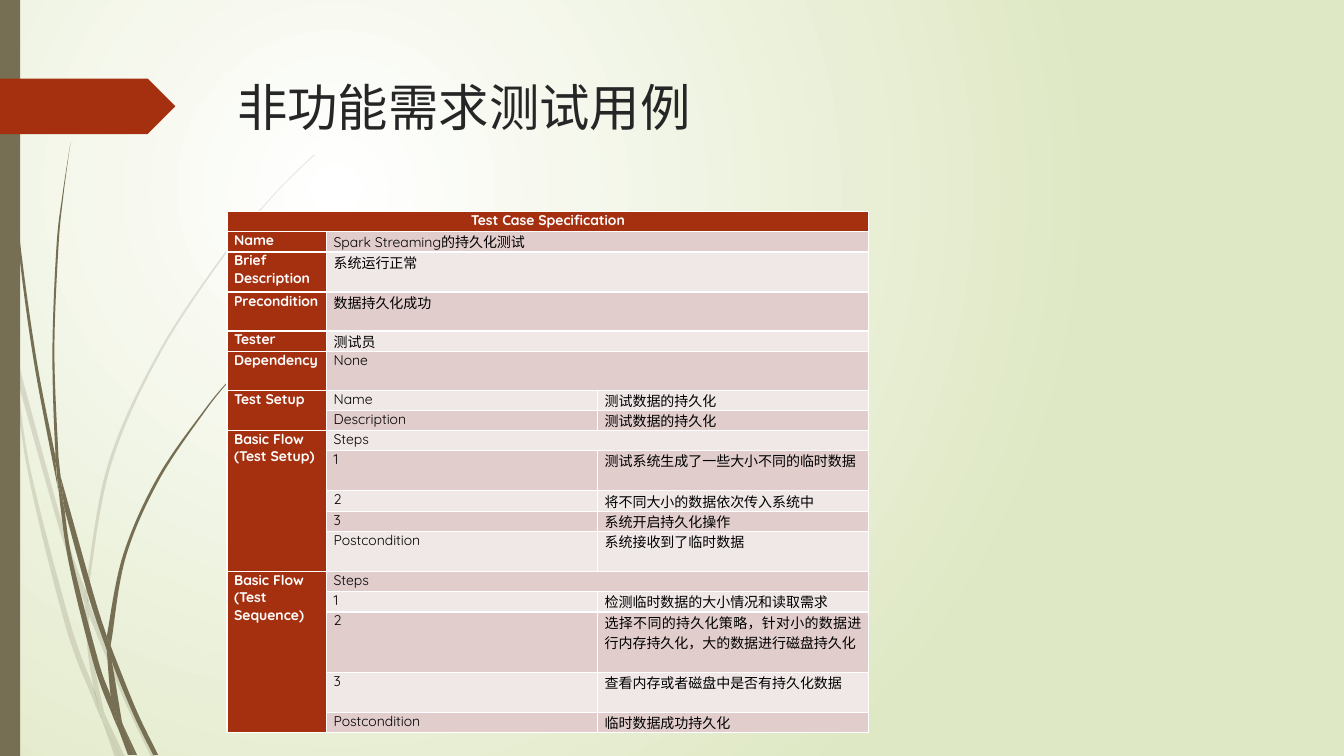
"""Builds the slide with the non-functional requirement test case table."""
from typing import NamedTuple

from lxml import etree
from pptx import Presentation
from pptx.dml.color import RGBColor
from pptx.enum.shapes import MSO_SHAPE
from pptx.enum.text import MSO_ANCHOR, MSO_AUTO_SIZE, PP_ALIGN
from pptx.oxml import parse_xml
from pptx.oxml.ns import nsdecls, qn
from pptx.util import Cm, Pt

RECT, PENTAGON = MSO_SHAPE.RECTANGLE, MSO_SHAPE.PENTAGON
TOP, NO_FIT = MSO_ANCHOR.TOP, MSO_AUTO_SIZE.NONE
LEFT, CENTER, JUSTIFY = PP_ALIGN.LEFT, PP_ALIGN.CENTER, PP_ALIGN.JUSTIFY
FONT = "Quicksand"
COLORS = {"grass": "766F54", "accent": "A53010", "title": "262626", "white": "FFFFFF",
          "black": "000000", "band_dark": "E1CDCC", "band_light": "F0E8E7", "edge": "DFE8C4"}
GRASS_UNIT = Cm(0.0254)
FAINT_ALPHA = 20

Points = list[tuple[int, int]]


class Blade(NamedTuple):
    """A piece of grass: one edge out, the other edge back."""
    out: Points
    back: Points


class Row(NamedTuple):
    """A table row: no label continues the one above, no detail spans both columns."""
    height: float
    label: str
    item: str
    detail: str = ""


FAINT_GRASS = [
    Blade([(11, 350), (9, 322), (0, 282)], [(0, 299), (10, 344), (11, 350)]),
    Blade([(17, 376), (58, 522), (84, 599)], [(85, 586), (62, 520), (14, 345)]),
    Blade([(88, 610), (123, 694), (150, 751)], [(155, 751), (127, 692), (92, 607), (88, 596)]),
    Blade([(119, 751), (124, 751)], [(105, 711)]),
    Blade([(11, 350), (28, 470), (65, 621), (92, 693), (101, 714)],
          [(99, 707), (93, 683), (70, 619), (31, 469), (17, 376)]),
    Blade([(84, 599), (87, 646), (93, 683), (96, 692), (105, 711)],
          [(103, 706), (91, 646), (88, 610), (88, 608)]),
    Blade([(88, 596), (88, 584), (110, 462), (160, 349), (229, 245), (268, 198), (290, 175),
           (312, 154)],
          [(312, 153), (289, 175), (268, 197), (228, 244), (158, 348), (107, 461), (85, 584),
           (85, 586)]),
    Blade([(101, 714), (114, 751)], [(119, 751)]),
    Blade([(88, 608), (88, 610), (88, 596)], [(85, 586), (84, 599)]),
    Blade([(93, 683), (99, 707), (101, 714), (119, 751)], [(105, 711), (96, 692)]),
]
SOLID_GRASS = [
    Blade([(3, 0), (4, 48), (7, 110), (17, 233), (33, 355), (56, 477), (57, 481)],
          [(55, 457), (55, 453), (36, 355), (19, 232), (8, 109), (5, 48), (4, 0)]),
    Blade([(64, 505), (88, 592), (106, 645)], [(106, 633), (106, 631), (93, 590), (60, 472)]),
    Blade([(110, 641), (111, 656), (132, 708), (152, 749)], [(157, 749), (136, 706), (113, 649)]),
    Blade([(57, 477), (68, 557), (93, 659), (111, 708), (117, 722)],
          [(116, 717), (110, 691), (98, 657), (72, 556), (64, 505)]),
    Blade([(70, 141), (62, 193), (56, 245), (52, 349), (55, 449), (60, 472)],
          [(58, 453), (54, 349), (58, 245), (63, 193), (70, 141)]),
    Blade([(133, 749), (136, 749)], [(122, 719)]),
    Blade([(55, 449), (55, 453), (57, 477)], [(64, 505), (60, 472)]),
    Blade([(106, 631), (122, 551), (156, 474), (204, 405), (231, 373), (245, 358), (260, 344)],
          [(261, 344), (245, 359), (231, 374), (205, 406), (158, 476), (125, 552), (111, 633),
           (110, 641)]),
    Blade([(117, 722), (127, 749)], [(131, 749)]),
    Blade([(106, 645), (110, 691), (116, 706), (122, 719)], [(121, 716), (111, 656), (109, 651)]),
    Blade([(106, 631), (106, 645)], [(111, 656), (110, 641)]),
    Blade([(110, 691), (116, 717), (117, 722), (130, 749)], [(133, 749), (122, 719), (116, 706)]),
]

HEADER = "Test Case Specification"
COLUMNS = [2.51, 6.83, 6.83]
LOW, SHORT, MID, HIGH = 0.51, 0.98, 1.01, 1.52
ROWS = [
    Row(LOW, "Name", "Spark Streaming的持久化测试"),
    Row(MID, "Brief Description", "系统运行正常"),
    Row(SHORT, "Precondition", "数据持久化成功"),
    Row(LOW, "Tester", "测试员"),
    Row(SHORT, "Dependency", "None"),
    Row(LOW, "Test Setup", "Name", "测试数据的持久化"),
    Row(LOW, "", "Description", "测试数据的持久化"),
    Row(LOW, "Basic Flow\n(Test Setup)", "Steps"),
    Row(MID, "", "1", "测试系统生成了一些大小不同的临时数据"),
    Row(LOW, "", "2", "将不同大小的数据依次传入系统中"),
    Row(LOW, "", "3", "系统开启持久化操作"),
    Row(MID, "", "Postcondition", "系统接收到了临时数据"),
    Row(LOW, "Basic Flow\n(Test Sequence)", "Steps"),
    Row(LOW, "", "1", "检测临时数据的大小情况和读取需求"),
    Row(HIGH, "", "2", "选择不同的持久化策略，针对小的数据进行内存持久化，大的数据进行磁盘持久化"),
    Row(MID, "", "3", "查看内存或者磁盘中是否有持久化数据"),
    Row(LOW, "", "Postcondition", "临时数据成功持久化"),
]


def rgb(name: str) -> RGBColor:
    """Look up a colour by name."""
    return RGBColor.from_string(COLORS[name])


def set_background(s) -> None:
    """Fill the slide with a radial gradient."""
    stops = "".join(f'<a:gs pos="{pos}"><a:srgbClr val="{COLORS[name]}"/></a:gs>'
                    for pos, name in ((0, "white"), (100000, "edge")))
    s.element.cSld.insert(0, parse_xml(
        f'<p:bg {nsdecls("p", "a")}><p:bgPr><a:gradFill rotWithShape="1"><a:gsLst>{stops}'
        '</a:gsLst><a:path path="circle"><a:fillToRect l="50000" t="50000" r="100000" '
        'b="100000"/></a:path></a:gradFill><a:effectLst/></p:bgPr></p:bg>'))


def paint(shape, color: str) -> None:
    """Give a shape a flat fill with no line or shadow."""
    shape.shadow.inherit = False
    shape.fill.solid()
    shape.fill.fore_color.rgb = rgb(color)
    shape.line.fill.background()


def curve_edge(lines: list, points: Points) -> None:
    """Turn the lines along one edge into smooth Bezier segments."""
    ends = [points[0], *points, points[-1]]
    for line, a, b, c, d in zip(lines, ends, ends[1:], ends[2:], ends[3:]):
        target = line[0]
        x, y = int(target.get("x")), int(target.get("y"))
        line.tag = qn("a:cubicBezTo")
        for dx, dy in (((b[0] - c[0]) + (c[0] - a[0]) / 6, (b[1] - c[1]) + (c[1] - a[1]) / 6),
                       ((b[0] - d[0]) / 6, (b[1] - d[1]) / 6)):
            control = etree.Element(qn("a:pt"), x=str(round(x + dx * GRASS_UNIT)),
                                    y=str(round(y + dy * GRASS_UNIT)))
            target.addprevious(control)


def add_blade(s, blade: Blade, alpha: int = 100) -> None:
    """Draw one piece of grass."""
    outline = [(x * GRASS_UNIT, y * GRASS_UNIT) for x, y in blade.out + blade.back]
    builder = s.shapes.build_freeform(*outline[0])
    builder.add_line_segments(outline[1:], close=True)
    shape = builder.convert_to_shape()
    paint(shape, "grass")
    lines = list(shape.element.iter(qn("a:lnTo")))
    curve_edge(lines, blade.out)
    curve_edge(lines[len(blade.out):], blade.back)
    if alpha < 100:
        color = shape.element.spPr.find(qn("a:solidFill"))[0]
        etree.SubElement(color, qn("a:alpha"), val=str(alpha * 1000))


def format_text(tf, size: int, color: str, align, bold: bool = False) -> None:
    """Format every run of a text frame."""
    for p in tf.paragraphs:
        p.alignment = align
        for r in p.runs:
            r.font.name, r.font.size, r.font.bold = FONT, Pt(size), bold
            r.font.color.rgb = rgb(color)


def fill_cell(cell, text: str, fill: str, color: str = "black", align=JUSTIFY) -> None:
    """Write and format one table cell."""
    cell.fill.solid()
    cell.fill.fore_color.rgb = rgb(fill)
    cell.margin_left = cell.margin_right = Cm(0.18)
    cell.margin_top = cell.margin_bottom = 0
    cell.text_frame.text = text
    format_text(cell.text_frame, 10, color, align, bold=color == "white")


def add_test_case(s) -> None:
    """Add the test case table."""
    heights = [LOW, *(row.height for row in ROWS)]
    table = s.shapes.add_table(len(heights), len(COLUMNS), Cm(5.72), Cm(5.33),
                               Cm(sum(COLUMNS)), Cm(sum(heights))).table
    for column, width in zip(table.columns, COLUMNS):
        column.width = Cm(width)
    for line, height in zip(table.rows, heights):
        line.height = Cm(height)
    table.cell(0, 0).merge(table.cell(0, 2))
    fill_cell(table.cell(0, 0), HEADER, "accent", "white", CENTER)
    starts = [i for i, row in enumerate(ROWS, 1) if row.label]
    for start, after in zip(starts, [*starts[1:], len(heights)]):
        if after - start > 1:
            table.cell(start, 0).merge(table.cell(after - 1, 0))
        fill_cell(table.cell(start, 0), ROWS[start - 1].label, "accent", "white")
    for i, row in enumerate(ROWS, 1):
        band = "band_dark" if i % 2 else "band_light"
        fill_cell(table.cell(i, 1), row.item, band)
        if row.detail:
            fill_cell(table.cell(i, 2), row.detail, band)
        else:
            table.cell(i, 1).merge(table.cell(i, 2))


prs = Presentation()
prs.slide_width, prs.slide_height = Cm(33.87), Cm(19.05)
s = prs.slides.add_slide(prs.slide_layouts[5])
set_background(s)
for blades, alpha in ((FAINT_GRASS, FAINT_ALPHA), (SOLID_GRASS, 100)):
    for blade in blades:
        add_blade(s, blade, alpha)
paint(s.shapes.add_shape(RECT, 0, 0, Cm(0.51), prs.slide_height), "grass")
paint(s.shapes.add_shape(PENTAGON, 0, Cm(1.98), Cm(4.42), Cm(1.4)), "accent")
title = s.shapes.title
title.left, title.top, title.width, title.height = Cm(5.72), Cm(1.78), Cm(24.77), Cm(3.56)
tf = title.text_frame
tf.text = "非功能需求测试用例"
tf.vertical_anchor, tf.auto_size = TOP, NO_FIT
format_text(tf, 36, "title", LEFT)
add_test_case(s)
prs.save("out.pptx")
